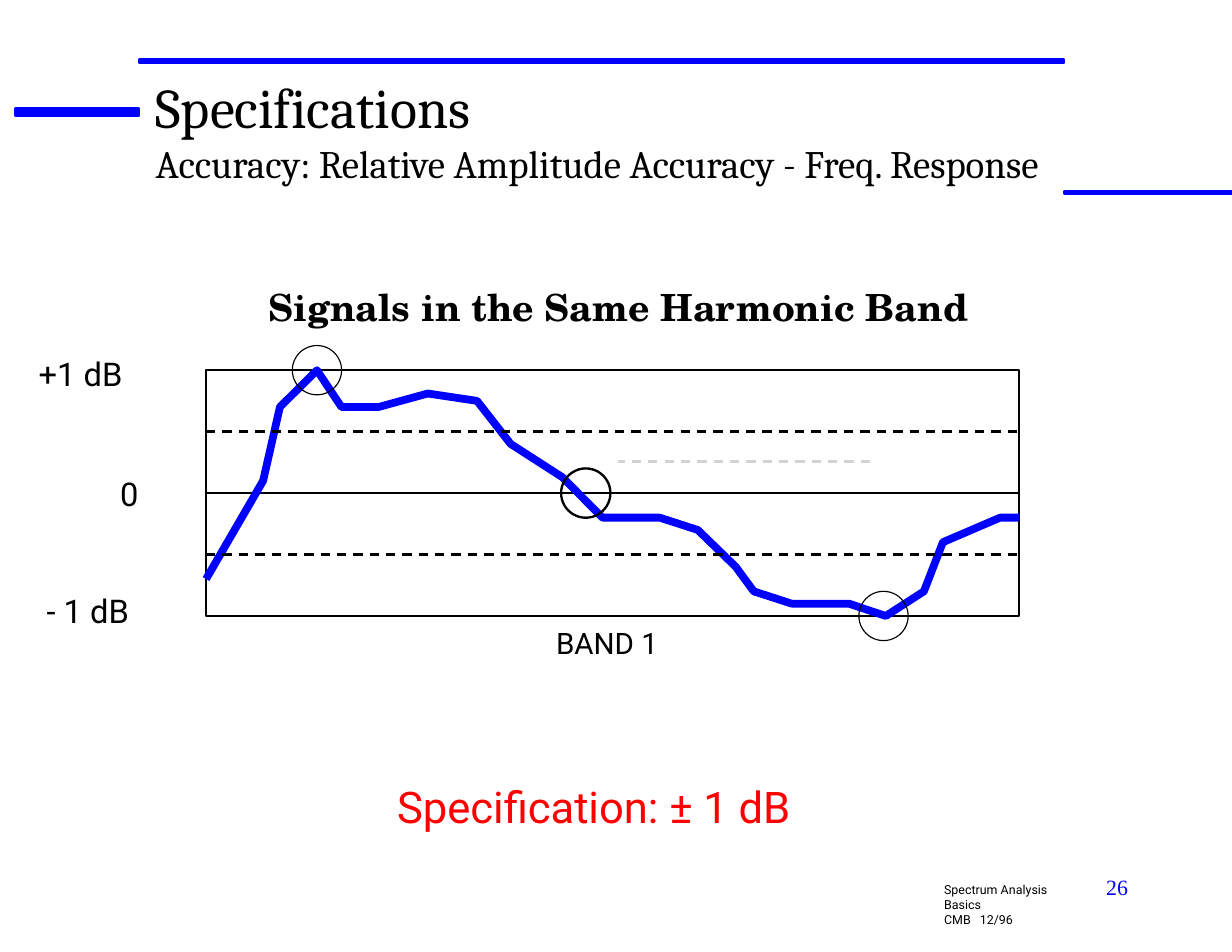
from dataclasses import dataclass

import lxml.etree
import pptx
import pptx.dml.color
import pptx.enum.dml
import pptx.enum.shapes
import pptx.enum.text
import pptx.oxml.ns
import pptx.util
from pptx.util import Pt

BLACK, BLUE, RED, GREY = "000000", "0000FF", "FF0000", "D2D2D2"
ALIGN = pptx.enum.text.PP_ALIGN
ANCHOR = pptx.enum.text.MSO_ANCHOR
SHAPE = pptx.enum.shapes.MSO_SHAPE

LEFT, RIGHT, ZERO_Y, DECIBEL = 132.5, 655.2, 317, 79


@dataclass
class Bar:
    left: float
    top: float
    width: float
    height: float


@dataclass
class Rule:
    start: float
    end: float
    y: float
    color: str = BLACK
    dashed: bool = True


@dataclass
class Marker:
    x: float
    level: float
    weight: float


@dataclass
class Label:
    lines: list[str]
    left: float
    top: float
    width: float
    height: float
    size: float
    font: str = "Roboto"
    color: str = BLACK
    bold: bool = False
    align: ALIGN = ALIGN.CENTER
    anchor: ANCHOR = ANCHOR.BOTTOM
    inset: tuple[float, float] = (0, 0)
    tab: float = 0


BARS = [
    Bar(10.1, 69.8, 79.2, 5),
    Bar(89.3, 38.2, 594.7, 2.2),
    Bar(684, 123.1, 108, 1.4),
]

CURVE = [
    (132.5, -0.7), (169.2, 0.1), (180, 0.7), (203.8, 1), (219.6, 0.7), (243.4, 0.7),
    (275, 0.81), (306.7, 0.75), (328.3, 0.4), (361.4, 0.13), (387.4, -0.2),
    (424.1, -0.2), (448.6, -0.3), (473, -0.6), (484.6, -0.8), (509, -0.9),
    (545.8, -0.9), (569.5, -1), (594, -0.8), (606.2, -0.4), (643, -0.2), (655.2, -0.2),
]

MARKERS = [Marker(568, -1, 0.75), Marker(203.8, 1, 0.75), Marker(376.6, 0, 1.5)]
MARKER_SIZE = 31.7

LABELS = [
    Label(["- 1 dB"], 21.6, 357.1, 69.8, 48.2, 21),
    Label(["+1 dB"], 11.5, 204.5, 80.6, 48.2, 21),
    Label(["0"], 76.6, 304.6, 13, 25.2, 21),
    Label(["BAND 1"], 352.1, 401.8, 76.3, 23, 19),
    Label(["Specification: ± 1 dB"], 229, 466.6, 305.3, 68.4, 28, color=RED),
    Label(["Signals in the Same Harmonic Band"], 172.8, 182.9, 456.5, 29.5, 24,
          font="TeX Gyre Schola", bold=True, align=ALIGN.LEFT, anchor=ANCHOR.TOP),
    Label(["Spectrum Analysis Basics", "CMB\t12/96"], 599.8, 563.8, 97.9, 26.6, 8,
          align=ALIGN.LEFT, anchor=ANCHOR.TOP, inset=(7.2, 3.6), tab=23),
    Label(["26"], 570.2, 558, 162, 41.8, 14, font="Times New Roman", color=BLUE,
          align=ALIGN.RIGHT, anchor=ANCHOR.TOP, inset=(7.2, 3.6)),
]


def rgb(color: str) -> pptx.dml.color.RGBColor:
    return pptx.dml.color.RGBColor.from_string(color)


def level_y(level: float) -> float:
    return ZERO_Y - level * DECIBEL


def set_font(para, name: str, size: float, color: str, bold: bool = False) -> None:
    para.font.name = name
    para.font.size = Pt(size)
    para.font.bold = bold
    para.font.color.rgb = rgb(color)


def outline(shape, color: str, weight: float) -> None:
    shape.shadow.inherit = False
    shape.fill.background()
    shape.line.color.rgb = rgb(color)
    shape.line.width = Pt(weight)


def draw_bar(page, bar: Bar) -> None:
    shape = page.shapes.add_shape(
        SHAPE.RECTANGLE, Pt(bar.left), Pt(bar.top), Pt(bar.width), Pt(bar.height))
    outline(shape, BLUE, 1.5)
    shape.fill.solid()
    shape.fill.fore_color.rgb = rgb(BLUE)


def draw_rule(page, rule: Rule) -> None:
    line = page.shapes.add_connector(
        pptx.enum.shapes.MSO_CONNECTOR.STRAIGHT,
        Pt(rule.start), Pt(rule.y), Pt(rule.end), Pt(rule.y))
    line.line.color.rgb = rgb(rule.color)
    line.line.width = Pt(1.5)
    if rule.dashed:
        line.line.dash_style = pptx.enum.dml.MSO_LINE.DASH
    properties = line.element.find(pptx.oxml.ns.qn("p:spPr"))
    lxml.etree.SubElement(properties, pptx.oxml.ns.qn("a:effectLst"))


def draw_curve(page, points: list[tuple[float, float]]) -> None:
    corners = [(Pt(x), Pt(level_y(level))) for x, level in points]
    builder = page.shapes.build_freeform(*corners[0])
    builder.add_line_segments(corners[1:], close=False)
    outline(builder.convert_to_shape(), BLUE, 5)


def draw_marker(page, marker: Marker) -> None:
    shape = page.shapes.add_shape(
        SHAPE.OVAL, Pt(marker.x - MARKER_SIZE / 2),
        Pt(level_y(marker.level) - MARKER_SIZE / 2), Pt(MARKER_SIZE), Pt(MARKER_SIZE))
    outline(shape, BLACK, marker.weight)


def set_frame(frame, inset: tuple[float, float], anchor: ANCHOR) -> None:
    frame.word_wrap = True
    frame.auto_size = pptx.enum.text.MSO_AUTO_SIZE.NONE
    frame.vertical_anchor = anchor
    frame.margin_left = frame.margin_right = Pt(inset[0])
    frame.margin_top = frame.margin_bottom = Pt(inset[1])


def draw_label(page, label: Label) -> None:
    box = page.shapes.add_textbox(
        Pt(label.left), Pt(label.top), Pt(label.width), Pt(label.height))
    set_frame(box.text_frame, label.inset, label.anchor)
    box.text_frame.text = "\n".join(label.lines)
    for para in box.text_frame.paragraphs:
        para.alignment = label.align
        if label.tab:
            properties = para._p.get_or_add_pPr()
            tabs = lxml.etree.SubElement(properties, pptx.oxml.ns.qn("a:tabLst"))
            lxml.etree.SubElement(
                tabs, pptx.oxml.ns.qn("a:tab"), pos=str(Pt(label.tab)), algn="l")
        set_font(para, label.font, label.size, label.color, label.bold)


def fill_title(page) -> None:
    title = page.shapes.title
    title.left, title.top, title.width, title.height = Pt(100), Pt(46.8), Pt(584), Pt(72)
    set_frame(title.text_frame, (0, 0), ANCHOR.TOP)
    title.text_frame.text = (
        "Specifications\nAccuracy: Relative Amplitude Accuracy - Freq. Response")
    for para, size in zip(title.text_frame.paragraphs, (36, 25)):
        para.alignment = ALIGN.LEFT
        set_font(para, "Cambria", size, BLACK)


def main() -> None:
    deck = pptx.Presentation()
    deck.slide_width, deck.slide_height = Pt(792), Pt(612)
    page = deck.slides.add_slide(deck.slide_layouts[5])
    fill_title(page)
    for bar in BARS:
        draw_bar(page, bar)
    draw_rule(page, Rule(559.4, 397.4, 296.6, GREY))
    plot = page.shapes.add_shape(
        SHAPE.RECTANGLE, Pt(LEFT), Pt(level_y(1)), Pt(RIGHT - LEFT), Pt(2 * DECIBEL))
    outline(plot, BLACK, 1.5)
    draw_rule(page, Rule(LEFT, RIGHT, ZERO_Y, dashed=False))
    draw_curve(page, CURVE)
    for level in (0.5, -0.5):
        draw_rule(page, Rule(LEFT, RIGHT, level_y(level)))
    for marker in MARKERS:
        draw_marker(page, marker)
    for label in LABELS:
        draw_label(page, label)
    deck.save("out.pptx")


if __name__ == "__main__":
    main()
